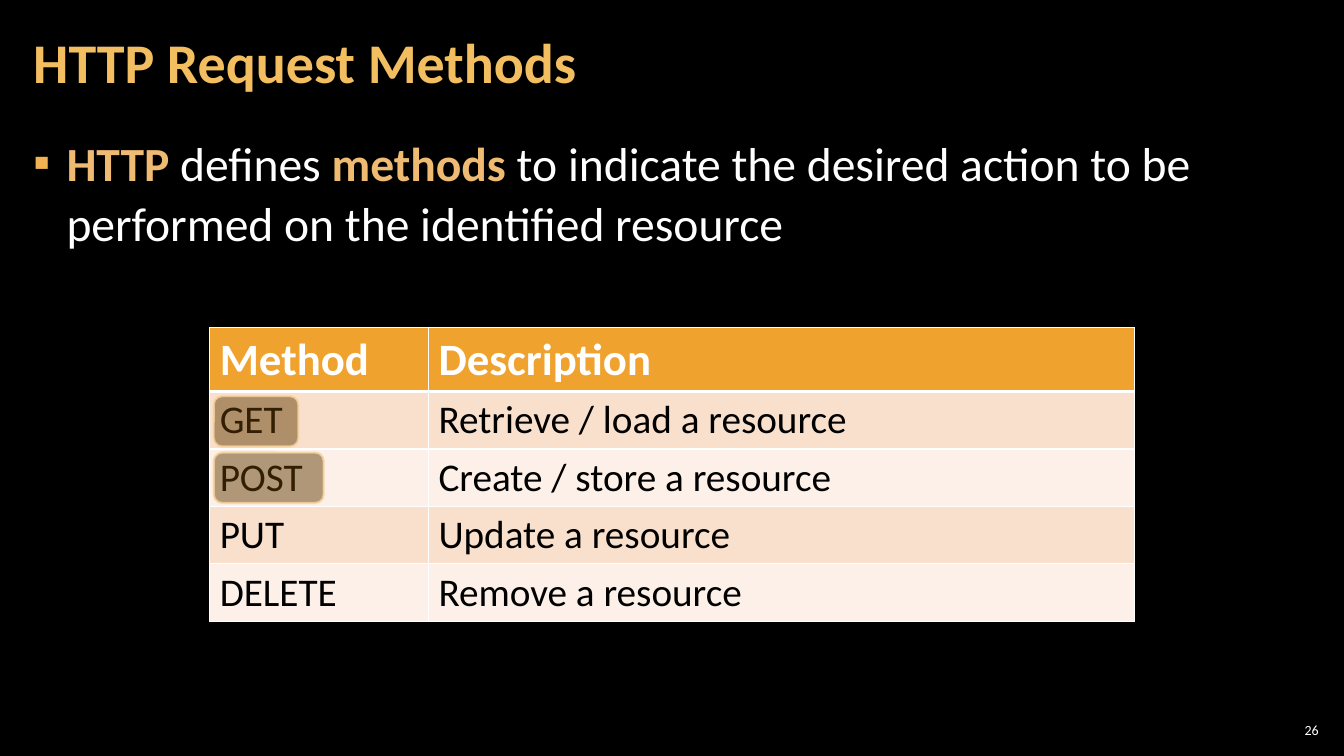
from dataclasses import dataclass

from lxml.etree import SubElement
from pptx import Presentation
from pptx.dml.color import RGBColor
from pptx.enum.shapes import MSO_SHAPE
from pptx.enum.text import MSO_ANCHOR, PP_ALIGN
from pptx.oxml.ns import qn
from pptx.util import Inches, Pt

TITLE = "HTTP Request Methods"
# (text, is a key term)
INTRODUCTION = [
    ("HTTP", True),
    (" defines ", False),
    ("methods", True),
    (" to indicate the desired action to be performed on the identified resource", False),
]
METHODS = [
    ("Method", "Description"),
    ("GET", "Retrieve / load a resource"),
    ("POST", "Create / store a resource"),
    ("PUT", "Update a resource"),
    ("DELETE", "Remove a resource"),
]
HIGHLIGHT_WIDTHS = [0.84, 1.09]  # over GET and POST
SLIDE_NUMBER = "26"


@dataclass(frozen=True)
class Theme:
    font: str = "Calibri"
    background: str = "000000"
    title: str = "F3BE60"
    bullet: str = "F2B254"
    term: str = "EFBB72"
    light: str = "FFFFFF"
    dark: str = "000000"
    header_fill: str = "F0A22E"
    bands: tuple = ("F9E0CD", "FCF0E8")
    highlight: str = "643F07"
    highlight_line: str = "F8D49E"
    title_size: int = 40
    body_size: int = 34
    header_size: int = 32
    cell_size: int = 28
    number_size: int = 10


THEME = Theme()


def rgb(color):
    return RGBColor.from_string(color)


def style(font, size, color, bold=False):
    font.name = THEME.font
    font.size = Pt(size)
    font.color.rgb = rgb(color)
    font.bold = bold


def add_text_box(slide, box, side_inset, anchor):
    """Add a wrapping text box and return its first paragraph."""
    frame = slide.shapes.add_textbox(*map(Inches, box)).text_frame
    frame.word_wrap = True
    frame.vertical_anchor = anchor
    frame.margin_left = frame.margin_right = Inches(side_inset)
    frame.margin_top = frame.margin_bottom = Inches(0.04)
    return frame.paragraphs[0]


def add_bullet(paragraph, symbol, color, indent):
    properties = paragraph._p.get_or_add_pPr()
    properties.set("marL", str(Inches(indent)))
    properties.set("indent", str(-Inches(indent)))
    bullet_color = SubElement(properties, qn("a:buClr"))
    SubElement(bullet_color, qn("a:srgbClr"), val=color)
    SubElement(properties, qn("a:buFont"), typeface=THEME.font)
    SubElement(properties, qn("a:buChar"), char=symbol)


def set_borders(cell, widths):
    """Draw the left, right, top and bottom borders, with widths in points."""
    properties = cell._tc.get_or_add_tcPr()
    for position, (side, width) in enumerate(zip("LRTB", widths)):
        line = SubElement(properties, qn(f"a:ln{side}"), w=str(Pt(width)))
        fill = SubElement(line, qn("a:solidFill"))
        SubElement(fill, qn("a:srgbClr"), val=THEME.light)
        properties.insert(position, line)


def set_opacity(fill_parent, percent):
    color = fill_parent.find(qn("a:solidFill")).find(qn("a:srgbClr"))
    SubElement(color, qn("a:alpha"), val=str(percent * 1000))


def add_methods_table(slide):
    column_widths = [2.17, 7]
    row_heights = [0.63] + [0.57] * (len(METHODS) - 1)
    table = slide.shapes.add_table(
        len(METHODS), len(column_widths), Inches(2.08), Inches(3.25),
        Inches(sum(column_widths)), Inches(sum(row_heights))).table
    for column, width in zip(table.columns, column_widths):
        column.width = Inches(width)
    for index, (row, height, texts) in enumerate(zip(table.rows, row_heights, METHODS)):
        row.height = Inches(height)
        header = index == 0
        for cell, text in zip(row.cells, texts):
            cell.text = text
            cell.fill.solid()
            cell.fill.fore_color.rgb = rgb(
                THEME.header_fill if header else THEME.bands[(index - 1) % 2])
            set_borders(cell, (1, 1, 3 if index == 1 else 1, 3 if header else 1))
            style(cell.text_frame.paragraphs[0].font,
                  THEME.header_size if header else THEME.cell_size,
                  THEME.light if header else THEME.dark, header)


def add_highlight(slide, top, width):
    shape = slide.shapes.add_shape(
        MSO_SHAPE.ROUNDED_RECTANGLE, Inches(2.12), Inches(top), Inches(width), Inches(0.5))
    shape.shadow.inherit = False
    shape.fill.solid()
    shape.fill.fore_color.rgb = rgb(THEME.highlight)
    shape.line.color.rgb = rgb(THEME.highlight_line)
    shape.line.width = Pt(1.5)
    properties = shape._element.spPr
    set_opacity(properties, 50)
    set_opacity(properties.find(qn("a:ln")), 80)


def main():
    presentation = Presentation()
    presentation.slide_width = Inches(13.33)
    presentation.slide_height = Inches(7.5)
    slide = presentation.slides.add_slide(presentation.slide_layouts[6])
    slide.background.fill.solid()
    slide.background.fill.fore_color.rgb = rgb(THEME.background)

    number = add_text_box(slide, (12.65, 7.14, 0.47, 0.21), 0.04, MSO_ANCHOR.MIDDLE)
    number.text = SLIDE_NUMBER
    number.alignment = PP_ALIGN.RIGHT
    style(number.font, THEME.number_size, THEME.light)

    introduction = add_text_box(slide, (0.21, 1.26, 12.91, 6.09), 0.12, MSO_ANCHOR.TOP)
    add_bullet(introduction, "▪", THEME.bullet, 0.33)
    introduction.line_spacing = 1.05
    for text, is_term in INTRODUCTION:
        run = introduction.add_run()
        run.text = text
        style(run.font, THEME.body_size, THEME.term if is_term else THEME.light, is_term)

    title = add_text_box(slide, (0.21, 0.04, 10.47, 1.21), 0.12, MSO_ANCHOR.MIDDLE)
    title.text = TITLE
    title.line_spacing = 0.9
    style(title.font, THEME.title_size, THEME.title, True)

    add_methods_table(slide)
    for index, width in enumerate(HIGHLIGHT_WIDTHS):
        add_highlight(slide, 3.93 + 0.56 * index, width)

    presentation.save("out.pptx")


if __name__ == "__main__":
    main()
